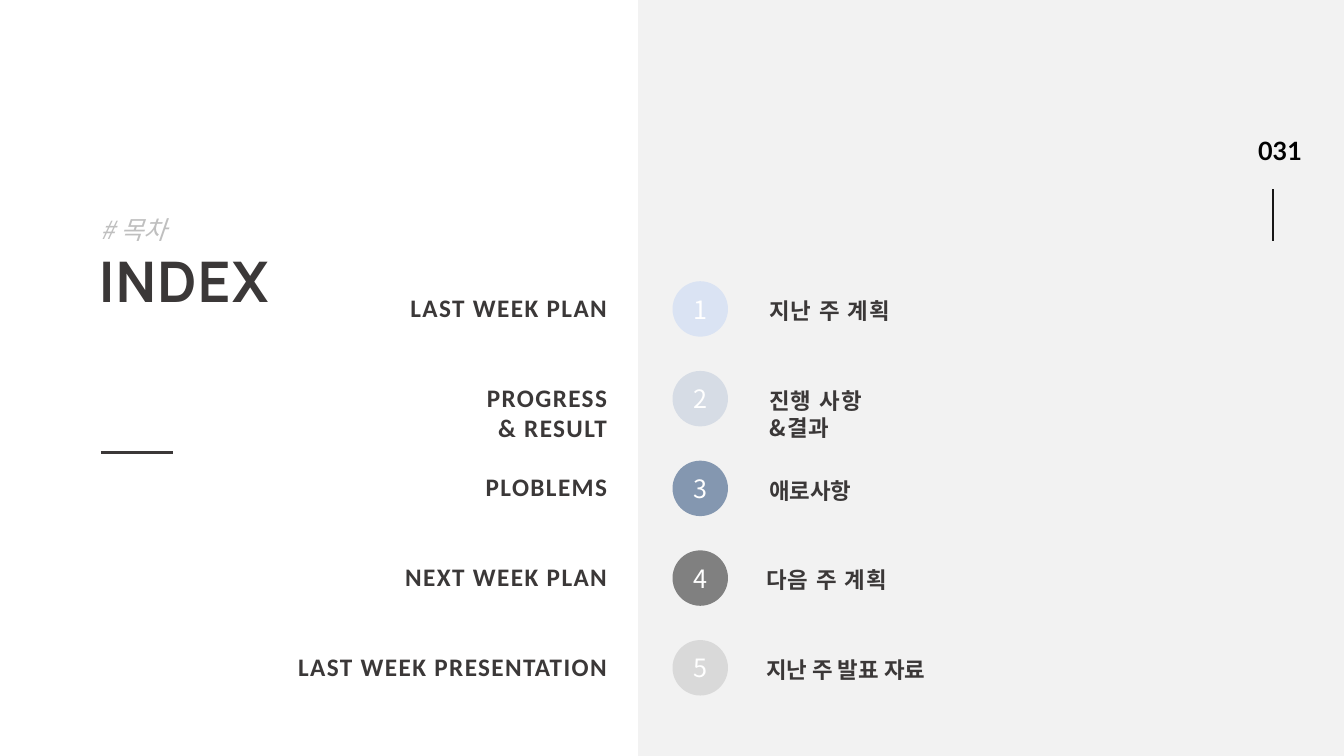
import pptx
import pptx.dml.color
import pptx.enum.shapes
import pptx.enum.text
import pptx.oxml.ns
import pptx.util
import lxml.etree
from dataclasses import dataclass

Inches, Pt = pptx.util.Inches, pptx.util.Pt
ALIGN = pptx.enum.text.PP_ALIGN
ANCHOR = pptx.enum.text.MSO_ANCHOR
FIT = pptx.enum.text.MSO_AUTO_SIZE
SHAPE = pptx.enum.shapes.MSO_SHAPE
qn = pptx.oxml.ns.qn

PAGE = "031"
TITLE = "INDEX"
TAG = "# 목차"
# English label, Korean label, Korean left edge, Korean letter spacing, disc colour
TOPICS = [
    ("LAST WEEK PLAN", "지난 주 계획", 7.53, 1, "DAE3F3"),
    ("PROGRESS\n& RESULT", "진행 사항\n&결과", 7.53, 1, "D6DCE5"),
    ("PLOBLEMS", "애로사항", 7.53, 0, "8497B0"),
    ("NEXT WEEK PLAN", "다음 주 계획", 7.5, 1, "808080"),
    ("LAST WEEK PRESENTATION", "지난 주 발표 자료", 7.5, 0, "D9D9D9"),
]
TOP, PITCH, DISC = 2.79, 0.89, 0.55
RIGHT = 6.12


@dataclass(frozen=True)
class Theme:
    ink: str = "3B3838"
    rule: str = "181717"
    black: str = "000000"
    white: str = "FFFFFF"
    pale: str = "BFBFBF"
    panel: str = "F2F2F2"
    head: str = "Manrope"
    num: str = "Lato"
    latin: str = "Calibri"
    hangul: str = "Noto Sans CJK KR"
    big: int = 40
    mid: int = 18
    small: int = 16


THEME = Theme()


def rgb(code):
    return pptx.dml.color.RGBColor.from_string(code)


def write(shape, text, size, font, color, bold=False, italic=False,
          gap=0, align=ALIGN.LEFT, anchor=ANCHOR.TOP):
    """Fill a shape with text in one style; gap is letter spacing in points."""
    frame = shape.text_frame
    frame.text = text
    frame.vertical_anchor = anchor
    for para in frame.paragraphs:
        para.alignment = align
        for run in para.runs:
            face = run.font
            face.size, face.name = Pt(size), font
            face.bold, face.italic = bold, italic
            face.color.rgb = rgb(color)
            props = run._r.get_or_add_rPr()
            if gap:
                props.set("spc", str(gap * 100))
            east = lxml.etree.SubElement(props, qn("a:ea"))
            east.set("typeface", font)
    return frame


def add_text(slide, box, text, *style, wrap=True, **more):
    shape = slide.shapes.add_textbox(*map(Inches, box))
    frame = write(shape, text, *style, **more)
    frame.word_wrap = wrap
    return frame


def add_block(slide, kind, box, color):
    shape = slide.shapes.add_shape(kind, *map(Inches, box))
    shape.shadow.inherit = False
    shape.fill.solid()
    shape.fill.fore_color.rgb = rgb(color)
    shape.line.fill.background()
    return shape


def add_line(slide, ends, color, width):
    line = slide.shapes.add_connector(
        pptx.enum.shapes.MSO_CONNECTOR.STRAIGHT, *map(Inches, ends))
    line.line.color.rgb = rgb(color)
    line.line.width = Pt(width)
    props = line._element.find(qn("p:spPr"))
    lxml.etree.SubElement(props, qn("a:effectLst"))


def add_head(slide):
    title = slide.shapes.title
    title.left, title.top = Inches(0.88), Inches(2.47)
    title.width, title.height = Inches(3.55), Inches(1.48)
    frame = write(title, TITLE, THEME.big, THEME.head, THEME.ink,
                  bold=True, gap=1)
    frame.auto_size = FIT.NONE
    frame.paragraphs[0].line_spacing = 0.9
    add_line(slide, (1, 4.49, 1.72, 4.49), THEME.ink, 2.75)
    tag = add_text(slide, (0.9, 2.13, 4.33, 0.41), TAG, THEME.mid,
                   THEME.hangul, THEME.pale, italic=True).paragraphs[0]
    tag.line_spacing, tag.space_before = Pt(18), Pt(12)


def add_topic(slide, index, topic):
    label, local, left, gap, color = topic
    top = TOP + index * PITCH
    more = label.count("\n")
    disc = add_block(slide, SHAPE.OVAL, (6.67, top, DISC, DISC), color)
    write(disc, str(index + 1), THEME.mid, THEME.hangul, THEME.white,
          align=ALIGN.CENTER, anchor=ANCHOR.MIDDLE)
    width = 3.34
    add_text(slide, (RIGHT - width, top + 0.06, width, 0.4 + 0.31 * more),
             label, THEME.mid, THEME.latin, THEME.ink,
             bold=True, gap=1, align=ALIGN.RIGHT)
    add_text(slide, (left, top + 0.11, 10.2 - left, 0.37 + 0.27 * more),
             local, THEME.small, THEME.hangul, THEME.ink, bold=True, gap=gap)


def main():
    deck = pptx.Presentation()
    deck.slide_width, deck.slide_height = Inches(13.33), Inches(7.5)
    slide = deck.slides.add_slide(deck.slide_layouts.get_by_name("Title Only"))
    add_block(slide, SHAPE.RECTANGLE, (6.33, 0, 7, 7.5), THEME.panel)
    add_text(slide, (12.38, 1.29, 0.64, 0.4), PAGE, THEME.mid, THEME.num,
             THEME.black, bold=True, wrap=False)
    add_line(slide, (12.63, 1.88, 12.63, 2.39), THEME.rule, 1.5)
    add_head(slide)
    for index, topic in enumerate(TOPICS):
        add_topic(slide, index, topic)
    deck.save("out.pptx")


if __name__ == "__main__":
    main()
